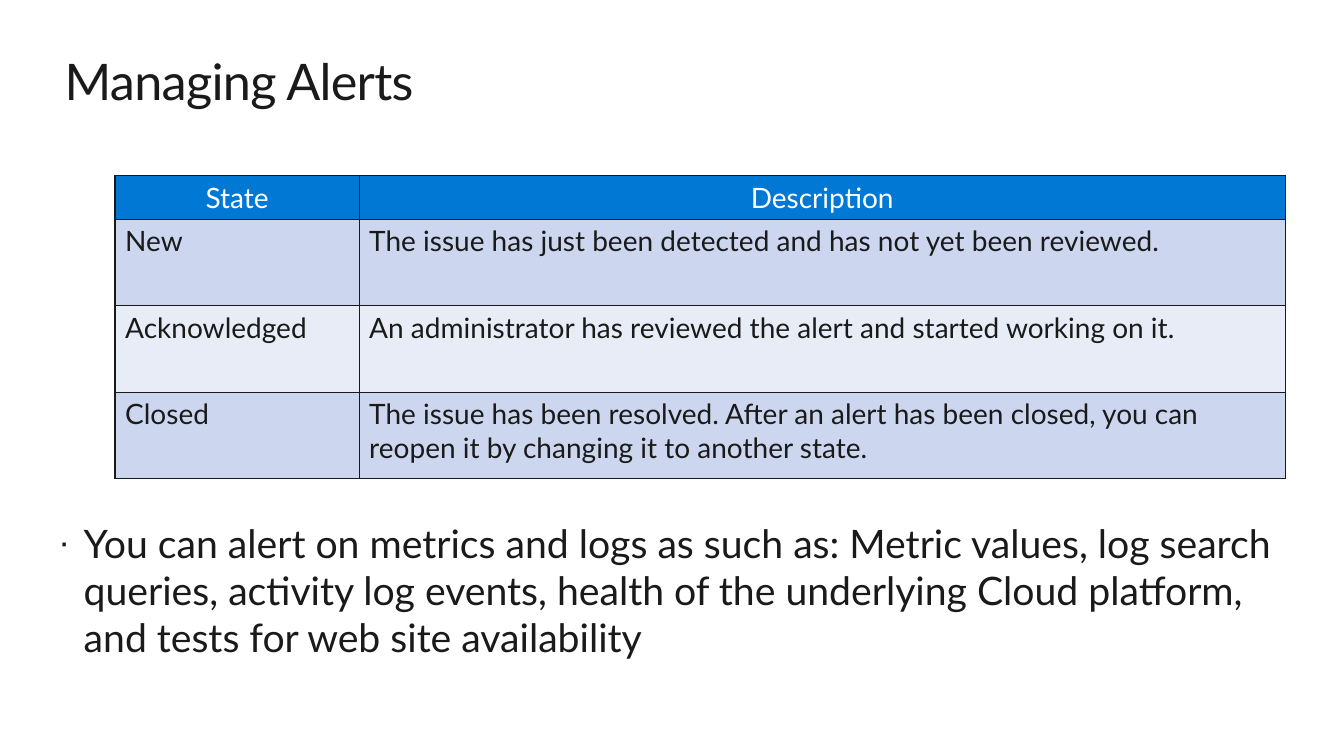
from lxml.etree import SubElement
from pptx import Presentation
from pptx.dml.color import RGBColor
from pptx.enum.text import MSO_ANCHOR, MSO_AUTO_SIZE, PP_ALIGN
from pptx.oxml import parse_xml
from pptx.oxml.ns import nsdecls, qn
from pptx.util import Cm, Pt

COLORS = {
    "ink": "1A1A1A",
    "white": "FFFFFF",
    "header": "0078D4",
    "band_dark": "CCD6EF",
    "band_light": "E7ECF7",
}
FONT = "Lato"
STATES = [
    ("State", "Description"),
    ("New", "The issue has just been detected and has not yet been reviewed."),
    ("Acknowledged", "An administrator has reviewed the alert and started working on it."),
    ("Closed", "The issue has been resolved. After an alert has been closed, "
               "you can reopen it by changing it to another state."),
]
ALERT_SOURCES = (
    "You can alert on metrics and logs as such as: Metric values, log search "
    "queries, activity log events, health of the underlying Cloud platform, "
    "and tests for web site availability"
)


def write(frame, text, size, color="ink", align=PP_ALIGN.LEFT, spacing=None):
    """Put formatted text in the first paragraph and return that paragraph."""
    para = frame.paragraphs[0]
    para.alignment = align
    span = para.add_run()
    span.text = text
    span.font.name = FONT
    span.font.size = Pt(size)
    span.font.color.rgb = RGBColor.from_string(COLORS[color])
    if spacing is not None:
        span.font._element.set("spc", str(int(spacing * 100)))
    return para


def place(holder, left, top, width, height):
    """Move a placeholder to its box and return its text frame without margins."""
    holder.left, holder.top = Cm(left), Cm(top)
    holder.width, holder.height = Cm(width), Cm(height)
    frame = holder.text_frame
    frame.margin_left = frame.margin_top = frame.margin_right = frame.margin_bottom = 0
    frame.word_wrap = True
    frame.auto_size = MSO_AUTO_SIZE.SHAPE_TO_FIT_TEXT
    frame.vertical_anchor = MSO_ANCHOR.TOP
    return frame


def add_title(page, left, top, width, height):
    frame = place(page.shapes.title, left, top, width, height)
    write(frame, "Managing Alerts", 36, spacing=-0.5)


def add_bullet(page, left, top, width, height):
    frame = place(page.placeholders[1], left, top, width, height)
    para = write(frame, ALERT_SOURCES, 28)
    # Hanging indent and small dot
    properties = para._p.get_or_add_pPr()
    properties.set("marL", str(Cm(0.64)))
    properties.set("indent", str(-Cm(0.64)))
    SubElement(properties, qn("a:buSzPct")).set("val", "90000")
    SubElement(properties, qn("a:buChar")).set("char", "·")


def add_borders(cell):
    properties = cell._tc.get_or_add_tcPr()
    for position, side in enumerate(("lnL", "lnR", "lnT", "lnB")):
        properties.insert(position, parse_xml(
            f'<a:{side} {nsdecls("a")} w="{Pt(1)}"><a:solidFill>'
            f'<a:srgbClr val="{COLORS["ink"]}"/></a:solidFill></a:{side}>'))


def add_state_table(page, left, top, column_widths, header_height, row_height):
    heights = [header_height] + [row_height] * (len(STATES) - 1)
    table = page.shapes.add_table(
        len(STATES), len(column_widths), Cm(left), Cm(top),
        Cm(sum(column_widths)), Cm(sum(heights))).table
    for column, width in zip(table.columns, column_widths):
        column.width = Cm(width)
    for index, (texts, height) in enumerate(zip(STATES, heights)):
        table.rows[index].height = Cm(height)
        if index == 0:
            fill, color, align = "header", "white", PP_ALIGN.CENTER
        else:
            fill = "band_dark" if index % 2 else "band_light"
            color, align = "ink", PP_ALIGN.LEFT
        for cell, text in zip(table.rows[index].cells, texts):
            cell.fill.solid()
            cell.fill.fore_color.rgb = RGBColor.from_string(COLORS[fill])
            write(cell.text_frame, text, 20, color, align).font.bold = False
            add_borders(cell)


def main():
    deck = Presentation()
    deck.slide_width, deck.slide_height = Cm(33.87), Cm(19.05)
    page = deck.slides.add_slide(deck.slide_layouts[1])
    add_title(page, 1.63, 1.27, 30.61, 1.55)
    add_bullet(page, 1.47, 13.08, 30.61, 3.58)
    add_state_table(page, 2.9, 4.42, (6.15, 23.34), 1.04, 2.18)
    deck.save("out.pptx")


if __name__ == "__main__":
    main()
